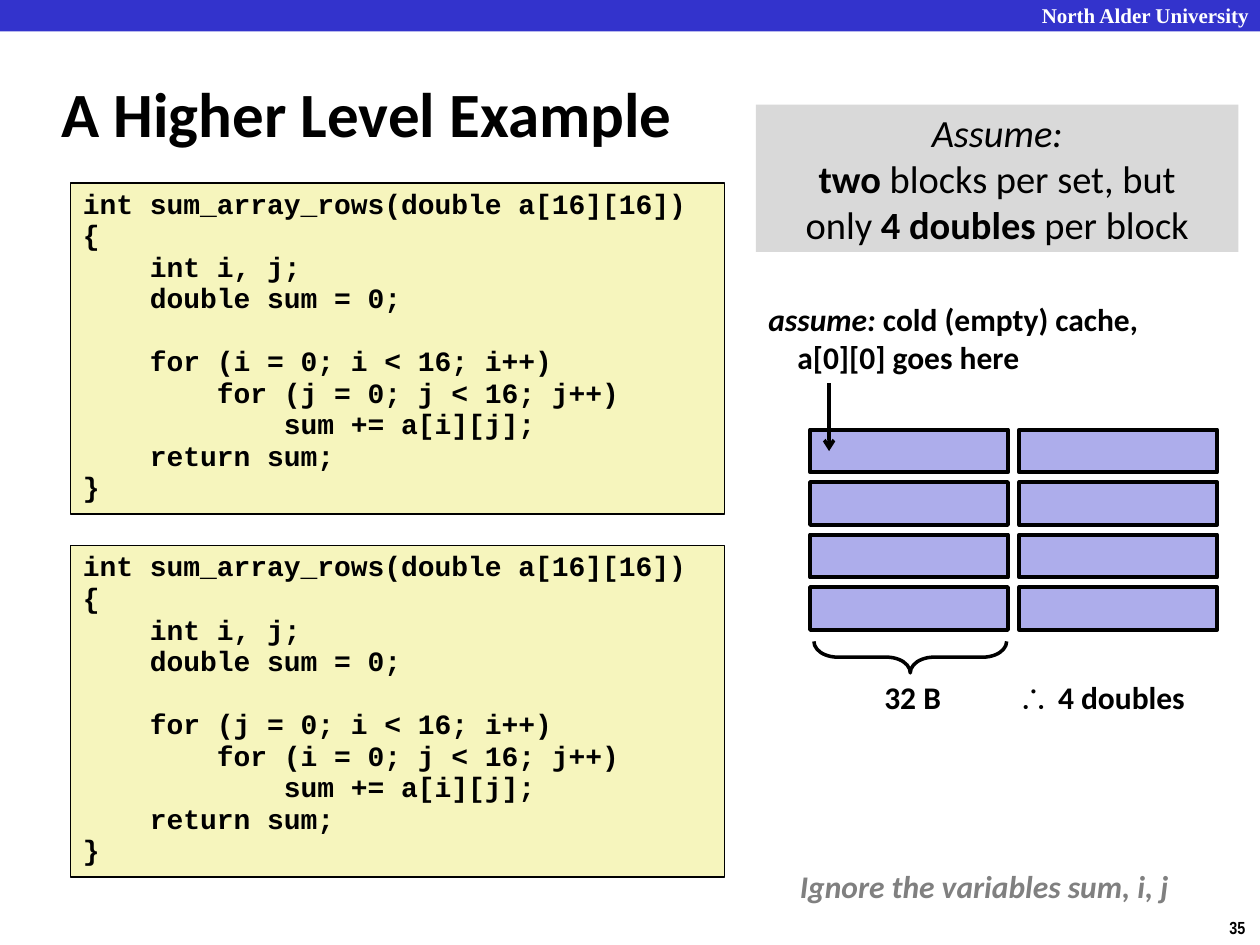
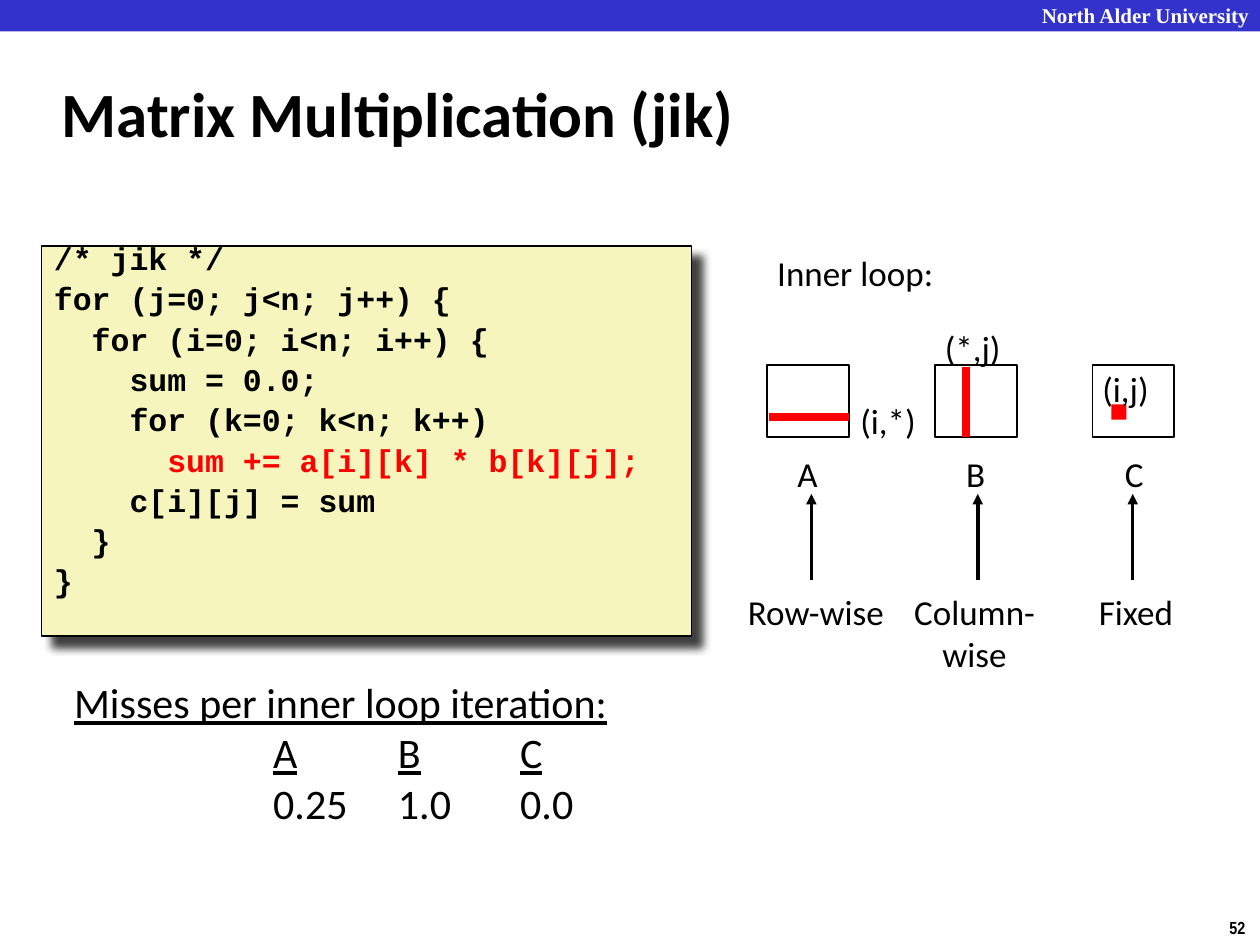
"""Build two lecture slides on cache behaviour of array code."""
from lxml.etree import SubElement
from pptx import Presentation
from pptx.dml.color import RGBColor
from pptx.enum.shapes import MSO_CONNECTOR, MSO_SHAPE
from pptx.enum.text import MSO_ANCHOR, PP_ALIGN
from pptx.oxml.ns import qn
from pptx.util import Inches, Pt

BLACK = RGBColor(0x00, 0x00, 0x00)
WHITE = RGBColor(0xFF, 0xFF, 0xFF)
RED = RGBColor(0xFF, 0x00, 0x00)
BAND_BLUE = RGBColor(0x33, 0x33, 0xCC)
CODE_YELLOW = RGBColor(0xF6, 0xF5, 0xBD)
CACHE_BLUE = RGBColor(0xAD, 0xAD, 0xEB)
NOTE_GRAY = RGBColor(0xD9, 0xD9, 0xD9)
HINT_GRAY = RGBColor(0x80, 0x80, 0x80)


def write(slide, paragraphs, left, top, width, height, fill=None, line=None, line_width=1,
          align=PP_ALIGN.LEFT, anchor=MSO_ANCHOR.TOP, wrap=True, tabs=(), spacing=None,
          gap=0, size=20, font="Calibri", color=BLACK, bold=False, italic=False,
          underline=False):
    """Write paragraphs, given as strings or lists of (text, format) runs, in a box."""
    place = Inches(left), Inches(top), Inches(width), Inches(height)
    if fill is None:
        box = slide.shapes.add_textbox(*place)
    else:
        box = slide.shapes.add_shape(MSO_SHAPE.RECTANGLE, *place)
        box.shadow.inherit = False
        box.fill.solid()
        box.fill.fore_color.rgb = fill
        if line is None:
            box.line.fill.background()
        else:
            box.line.color.rgb = line
            box.line.width = Pt(line_width)
    frame = box.text_frame
    frame.word_wrap = wrap
    frame.vertical_anchor = anchor
    base = dict(size=size, font=font, color=color, bold=bold, italic=italic,
                underline=underline)
    for number, content in enumerate(paragraphs):
        paragraph = frame.add_paragraph() if number else frame.paragraphs[0]
        paragraph.alignment = align
        if spacing:
            paragraph.line_spacing = spacing
        if gap and number:
            paragraph.space_before = Pt(gap)
        if tabs:
            tab_list = SubElement(paragraph._p.get_or_add_pPr(), qn("a:tabLst"))
            for position in tabs:
                SubElement(tab_list, qn("a:tab"), pos=str(Inches(position)), algn="l")
        for text, changes in [(content, {})] if isinstance(content, str) else content:
            look = base | changes
            run = paragraph.add_run()
            run.text = text
            run.font.size = Pt(look["size"])
            run.font.name = look["font"]
            run.font.color.rgb = look["color"]
            run.font.bold = look["bold"]
            run.font.italic = look["italic"]
            run.font.underline = look["underline"]
    return box


def connect(slide, x1, y1, x2, y2, color=BLACK, width=2, head=None):
    """Draw a straight line, with an optional arrowhead at its end."""
    connector = slide.shapes.add_connector(
        MSO_CONNECTOR.STRAIGHT, Inches(x1), Inches(y1), Inches(x2), Inches(y2))
    connector.line.color.rgb = color
    connector.line.width = Pt(width)
    if head:
        SubElement(connector.line._get_or_add_ln(), qn("a:tailEnd"), type=head)
    SubElement(connector._element.spPr, qn("a:effectLst"))


deck = Presentation()
deck.slide_width = Inches(10)
deck.slide_height = Inches(7.5)

for title, page in [("A Higher Level Example", "35"), ("Matrix Multiplication (jik)", "52")]:
    slide = deck.slides.add_slide(deck.slide_layouts[6])
    write(slide, [], 0, 0, 10, 0.25, fill=BAND_BLUE)
    write(slide, ["North Alder University"], 8.17, -0.03, 1.9, 0.3,
          size=12, font="Times New Roman", color=WHITE, bold=True)
    write(slide, [page], 9.66, 7.23, 0.34, 0.27, wrap=False,
          size=10, font="Arial Narrow", bold=True)
    write(slide, [title], 0.39, 0.48, 8.3, 0.83, anchor=MSO_ANCHOR.MIDDLE,
          size=36, bold=True)
example, matrix = deck.slides

for top, outer, inner in [(1.45, "i", "j"), (4.33, "j", "i")]:
    sum_rows = write(example, [
        "int sum_array_rows(double a[16][16])",
        "{",
        "    int i, j;",
        "    double sum = 0;",
        f"    for ({outer} = 0; i < 16; i++)",
        f"        for ({inner} = 0; j < 16; j++)",
        "            sum += a[i][j];",
        "    return sum;",
        "}",
    ], 0.56, top, 5.19, 2.63, fill=CODE_YELLOW, line=BLACK, spacing=0.94,
        size=16, font="Courier New", bold=True)
    sum_rows.text_frame.paragraphs[4].space_before = Pt(18)

for block in range(2):
    for cache_set in range(4):
        write(example, [], 6.43 + 1.66 * block, 3.41 + 1.25 / 3 * cache_set, 1.57, 0.34,
              fill=CACHE_BLUE, line=BLACK, line_width=2.25)

block_brace = example.shapes.add_shape(
    MSO_SHAPE.LEFT_BRACE, Inches(7.1), Inches(4.45), Inches(0.25), Inches(1.53))
block_brace.rotation = 270
block_brace.adjustments[0] = 0.75
block_brace.adjustments[1] = 0.5
block_brace.shadow.inherit = False
block_brace.fill.background()
block_brace.line.color.rgb = BLACK
block_brace.line.width = Pt(2)

write(example, [[("32 B\t", {}), ("∴ ", {"font": "Arial"}), ("4 doubles", {})]],
      6.92, 5.33, 2.7, 0.4, tabs=[1.06], size=18, bold=True)
cold_cache = write(example, [
    [("assume:", {"italic": True}), (" cold (empty) cache,", {})],
    "a[0][0] goes here",
], 6, 2.33, 3.4, 0.71, size=18, bold=True)
cold_cache.text_frame.paragraphs[1]._p.get_or_add_pPr().set("marL", str(Inches(0.23)))
connect(example, 6.58, 3.04, 6.58, 3.58, head="arrow")
write(example, [
    [("Assume:", {"italic": True})],
    [("two ", {"bold": True}), ("blocks per set, but", {})],
    [("only", {}), (" 4 doubles", {"bold": True}), (" per block", {})],
], 6, 0.83, 3.83, 1.17, fill=NOTE_GRAY, align=PP_ALIGN.CENTER,
    anchor=MSO_ANCHOR.MIDDLE, size=22)
write(example, ["Ignore the variables sum, i, j"], 6.25, 6.83, 3.16, 0.4, wrap=False,
      size=18, color=HINT_GRAY, bold=True, italic=True)

jik_code = write(matrix, [
    "/* jik */",
    "for (j=0; j<n; j++) {",
    "  for (i=0; i<n; i++) {",
    "    sum = 0.0;",
    "    for (k=0; k<n; k++)",
    [("      ", {}), ("sum += a[i][k] * b[k][j];", {"color": RED})],
    "    c[i][j] = sum",
    "  }",
    "}",
], 0.33, 1.95, 5.16, 3.1, fill=CODE_YELLOW, line=BLACK, spacing=0.65, gap=9,
    size=18, font="Courier New", bold=True)
jik_code.text_frame.margin_top = Inches(0.04)
effects = jik_code._element.spPr.find(qn("a:effectLst"))
shadow = SubElement(effects, qn("a:outerShdw"), blurRad=str(Pt(5)), dist=str(Pt(8.5)),
                    dir=str(45 * 60000), algn="tl", rotWithShape="0")
shadow_color = SubElement(shadow, qn("a:srgbClr"), val=str(BLACK))
SubElement(shadow_color, qn("a:alpha"), val="75000")

for name, left, name_left, arrow_x, access, access_left, access_width in [
    ("A", 6.09, 6.23, 6.44, ["Row-wise"], 5.83, 1.29),
    ("B", 7.42, 7.57, 7.76, ["Column-", "wise"], 7.15, 1.17),
    ("C", 8.67, 8.83, 8.99, ["Fixed"], 8.62, 0.79),
]:
    write(matrix, [], left, 2.9, 0.65, 0.57, fill=WHITE, line=BLACK)
    write(matrix, [name], name_left, 3.54, 0.36, 0.43, wrap=False)
    write(matrix, access, access_left, 4.64, access_width, 0.43 * len(access), wrap=False,
          align=PP_ALIGN.CENTER)
    connect(matrix, arrow_x, 4.6, arrow_x, 3.92, head="triangle")

connect(matrix, 7.67, 2.91, 7.67, 3.47, color=RED, width=4.5)
connect(matrix, 6.1, 3.31, 6.74, 3.31, color=RED, width=4.5)
write(matrix, [], 8.82, 3.21, 0.12, 0.12, fill=RED)
for label, left, top, width in [
    ("(i,*)", 6.73, 3.12, 0.64),
    ("(*,j)", 7.4, 2.54, 0.65),
    ("(i,j)", 8.65, 2.87, 0.57),
    ("Inner loop:", 6.07, 1.95, 1.45),
]:
    write(matrix, [label], left, top, width, 0.43, wrap=False)

underlined = {"underline": True}
write(matrix, [
    [("Misses per inner loop iteration:", underlined)],
    [run for name in "ABC" for run in (("\t", {}), (name, underlined))],
    "\t0.25\t1.0\t0.0",
], 0.49, 5.32, 5.96, 1.34, tabs=[1.58, 2.57, 3.54], size=24)

deck.save("out.pptx")
